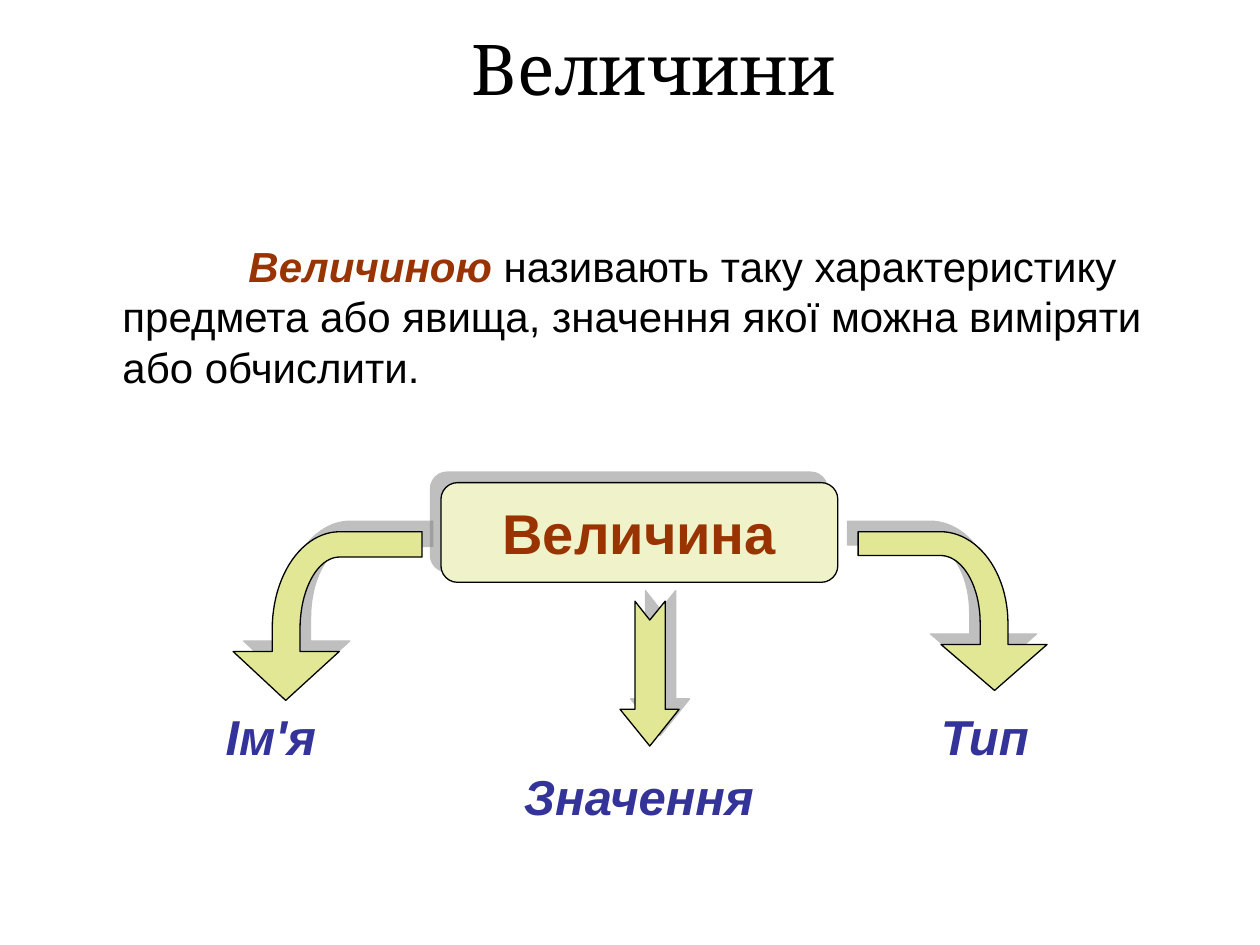
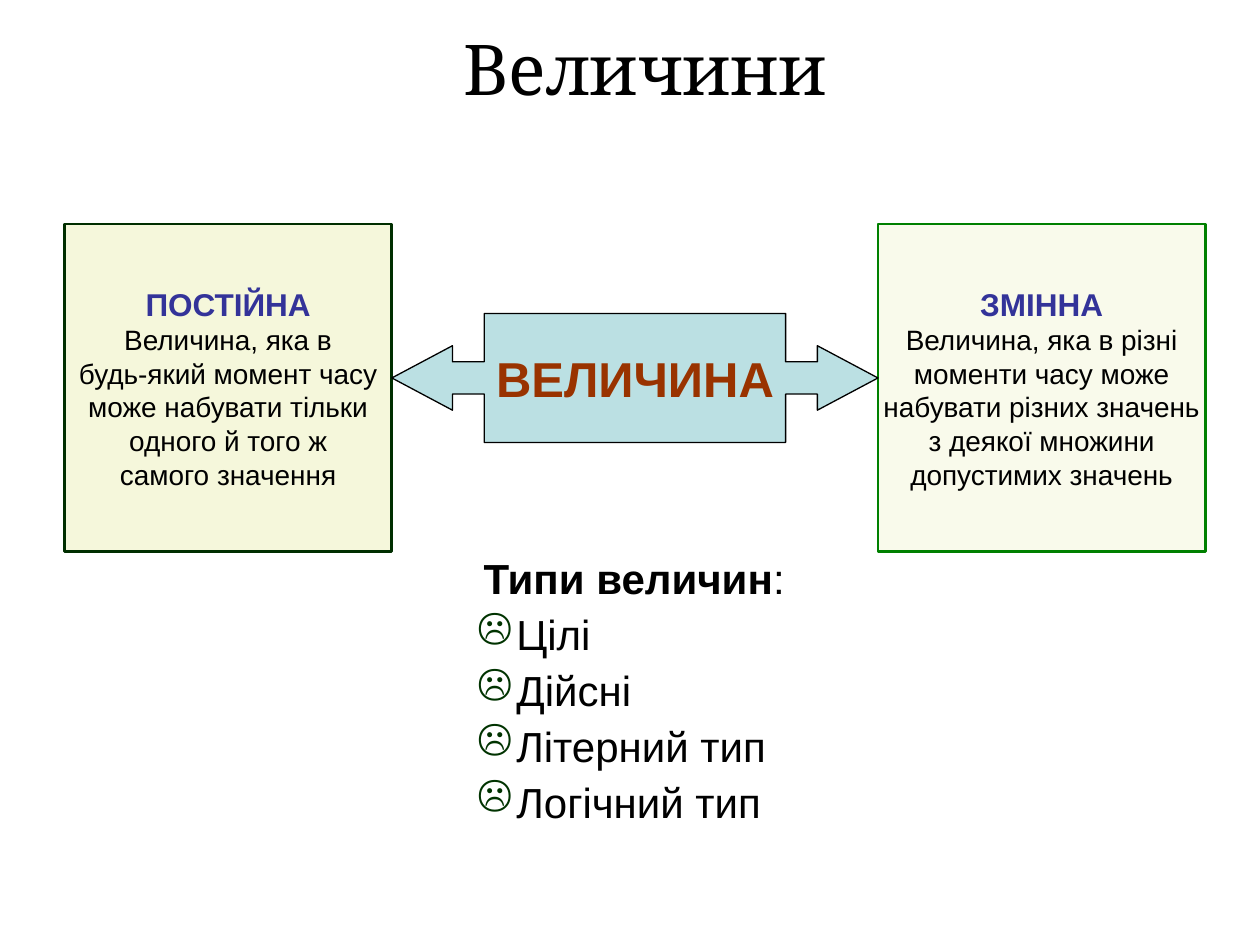
from math import cos, pi, sin

from lxml.etree import SubElement
from pptx import Presentation
from pptx.dml.color import RGBColor
from pptx.enum.shapes import MSO_SHAPE
from pptx.enum.text import MSO_ANCHOR, PP_ALIGN
from pptx.oxml.ns import qn
from pptx.util import Cm, Pt

BLACK, RUST, INDIGO = "000000", "993300", "333399"
PALE, OLIVE, AQUA, BULLET = "F0F3C9", "E1E795", "BBE0E3", "003300"
UP_LEFT, UP_RIGHT = 225, 315

TITLE = "Величини"
DEFINITION = [
    ("Величиною", RUST, True),
    (" називають таку характеристику предмета або явища, значення якої "
     "можна виміряти або обчислити.", BLACK, False),
]
PROPERTIES = [
    ("Ім'я", 4.3, 14.12, 2.8),
    ("Значення", 10.31, 15.32, 5.6),
    ("Тип", 18.72, 14.12, 2.8),
]
BENT_ARROWS = [(8.51, -1, 3.4, UP_RIGHT), (17.3, 1, 3.2, UP_LEFT)]
DOWN_ARROW = [(13.41, 12.12), (13.41, 14.3), (13.69, 14.3), (13.1, 15.04),
              (12.5, 14.3), (12.8, 14.3), (12.8, 12.12), (13.1, 12.5)]

KIND_TOP, KIND_SIZE = 4.52, 6.6
KINDS = [
    (1.3, PALE, 66, "002E00", "ПОСТІЙНА",
     ["Величина, яка в", "будь-який момент часу", "може набувати тільки",
      "одного й того ж", "самого значення"]),
    (17.7, "E4E99F", 20, "008000", "ЗМІННА",
     ["Величина, яка в різні", "моменти часу може", "набувати різних значень",
      "з деякої множини", "допустимих значень"]),
]
TYPES_HEADING = "Типи величин"
TYPES = ["Цілі", "Дійсні", "Літерний тип", "Логічний тип"]


def color(value):
    return RGBColor.from_string(value)


def format_font(font, size, value, bold=False, italic=False, name="Arial"):
    font.name, font.size, font.bold, font.italic = name, Pt(size), bold, italic
    font.color.rgb = color(value)


def add_run(paragraph, text, *style):
    run = paragraph.add_run()
    run.text = text
    format_font(run.font, *style)


def add_text_box(slide, left, top, width, height):
    text_frame = slide.shapes.add_textbox(
        Cm(left), Cm(top), Cm(width), Cm(height)).text_frame
    text_frame.word_wrap = True
    return text_frame


def add_title(slide, left):
    text_frame = add_text_box(slide, left, 0, 18.59, 2.71)
    text_frame.vertical_anchor = MSO_ANCHOR.MIDDLE
    text_frame.text = TITLE
    paragraph = text_frame.paragraphs[0]
    paragraph.alignment = PP_ALIGN.CENTER
    format_font(paragraph.runs[0].font, 40, BLACK, name="Cambria")


def paint(shape, fill, line=BLACK, width=0.75):
    shape.shadow.inherit = False
    shape.fill.solid()
    shape.fill.fore_color.rgb = color(fill)
    shape.line.color.rgb = color(line)
    shape.line.width = Pt(width)


def set_alpha(color_element, percent):
    SubElement(color_element, qn("a:alpha"), val=str(percent * 1000))


def add_shadow(shape, angle):
    effects = shape._element.spPr.find(qn("a:effectLst"))
    shadow = SubElement(effects, qn("a:outerShdw"), dist=str(Pt(8.5)),
                        dir=str(angle * 60000), algn="ctr", rotWithShape="0")
    set_alpha(SubElement(shadow, qn("a:srgbClr"), val="808080"), 50)


def add_block(slide, kind, left, top, width, height, fill, *line):
    shape = slide.shapes.add_shape(kind, Cm(left), Cm(top), Cm(width), Cm(height))
    paint(shape, fill, *line)
    shape.text_frame.word_wrap = False
    shape.text_frame.vertical_anchor = MSO_ANCHOR.MIDDLE
    return shape


def write_lines(shape, lines):
    text_frame = shape.text_frame
    text_frame.text = "\n".join(text for text, *_ in lines)
    for paragraph, (_, *style) in zip(text_frame.paragraphs, lines):
        paragraph.alignment = PP_ALIGN.CENTER
        format_font(paragraph.runs[0].font, *style)


def add_arrow(slide, points, angle):
    corners = [(Cm(x), Cm(y)) for x, y in points]
    builder = slide.shapes.build_freeform(*corners[0], scale=1.0)
    builder.add_line_segments(corners[1:], close=True)
    shape = builder.convert_to_shape()
    paint(shape, OLIVE)
    add_shadow(shape, angle)


def bent_arrow_points(tail, direction, depth, top=10.72, steps=24):
    bend, inner, outer = 1.66, 2.46, 3.02
    bottom, bend_end, neck = 0.15 * depth, 0.575 * depth, 0.71 * depth

    def arc(reach, start):
        angles = [pi / 2 * step / steps for step in range(steps + 1)]
        return [(bend + (reach - bend) * sin(angle),
                 bend_end - (bend_end - start) * cos(angle)) for angle in angles]

    outline = [(0, 0), *arc(outer, 0), (outer, neck), (3.81, neck),
               (2.75, depth), (1.67, neck), (inner, neck),
               *reversed(arc(inner, bottom)), (0, bottom)]
    return [(tail + direction * x, top + y) for x, y in outline]


def set_indent(paragraph, margin, first_line):
    properties = paragraph._p.get_or_add_pPr()
    properties.set("marL", str(Cm(margin)))
    properties.set("indent", str(Cm(first_line)))
    return properties


def build_definition(slide):
    add_title(slide, 3.89)
    text_frame = add_text_box(slide, 1.27, 4.45, 22.86, 12.57)
    text_frame.margin_top = Cm(0.4)
    paragraph = text_frame.paragraphs[0]
    set_indent(paragraph, 0.95, 2.54)
    for text, value, emphasis in DEFINITION:
        add_run(paragraph, text, 24, value, emphasis, emphasis)

    for text, left, top, width in PROPERTIES:
        text_frame = add_text_box(slide, left, top, width, 1.45)
        add_run(text_frame.paragraphs[0], text, 28, INDIGO, True, True)

    block = add_block(slide, MSO_SHAPE.FLOWCHART_ALTERNATE_PROCESS,
                      8.89, 9.73, 8, 2.01, PALE)
    add_shadow(block, UP_LEFT)
    write_lines(block, [("Величина", 32, RUST, True)])
    add_arrow(slide, DOWN_ARROW, UP_RIGHT)
    for tail, direction, depth, angle in BENT_ARROWS:
        add_arrow(slide, bent_arrow_points(tail, direction, depth), angle)


def build_kinds(slide):
    add_title(slide, 3.71)
    text_frame = add_text_box(slide, 8.1, 11.13, 10.36, 7.09)
    heading = text_frame.paragraphs[0]
    heading.line_spacing = 0.9
    set_indent(heading, 1.4, 0)
    add_run(heading, TYPES_HEADING, 24, BLACK, True)
    add_run(heading, ":", 24, BLACK)
    for text in TYPES:
        paragraph = text_frame.add_paragraph()
        properties = set_indent(paragraph, 2.06, -0.79)
        bullet_color = SubElement(properties, qn("a:buClr"))
        SubElement(bullet_color, qn("a:srgbClr"), val=BULLET)
        SubElement(properties, qn("a:buChar"), char="☹")
        paragraph.line_spacing, paragraph.space_before = 0.9, Pt(6)
        add_run(paragraph, text, 24, BLACK)

    for left, fill, opacity, line, name, lines in KINDS:
        block = add_block(slide, MSO_SHAPE.RECTANGLE, left, KIND_TOP,
                          KIND_SIZE, KIND_SIZE, fill, line, 1.5)
        fill_element = block._element.spPr.find(qn("a:solidFill"))
        set_alpha(fill_element[0], opacity)
        write_lines(block, [(name, 18, INDIGO, True)]
                    + [(text, 16, BLACK) for text in lines])

    arrow_left = KINDS[0][0] + KIND_SIZE
    callout = add_block(slide, MSO_SHAPE.LEFT_RIGHT_ARROW_CALLOUT, arrow_left, 6.32,
                        KINDS[1][0] - arrow_left, 2.6, AQUA)
    for index, value in enumerate([0.25, 0.25, 0.47, 0.62]):
        callout.adjustments[index] = value
    write_lines(callout, [("ВЕЛИЧИНА", 28, RUST, True)])


def main():
    presentation = Presentation()
    presentation.slide_width, presentation.slide_height = Cm(25.4), Cm(19.05)
    for build in (build_definition, build_kinds):
        build(presentation.slides.add_slide(presentation.slide_layouts[6]))
    presentation.save("out.pptx")


if __name__ == "__main__":
    main()
